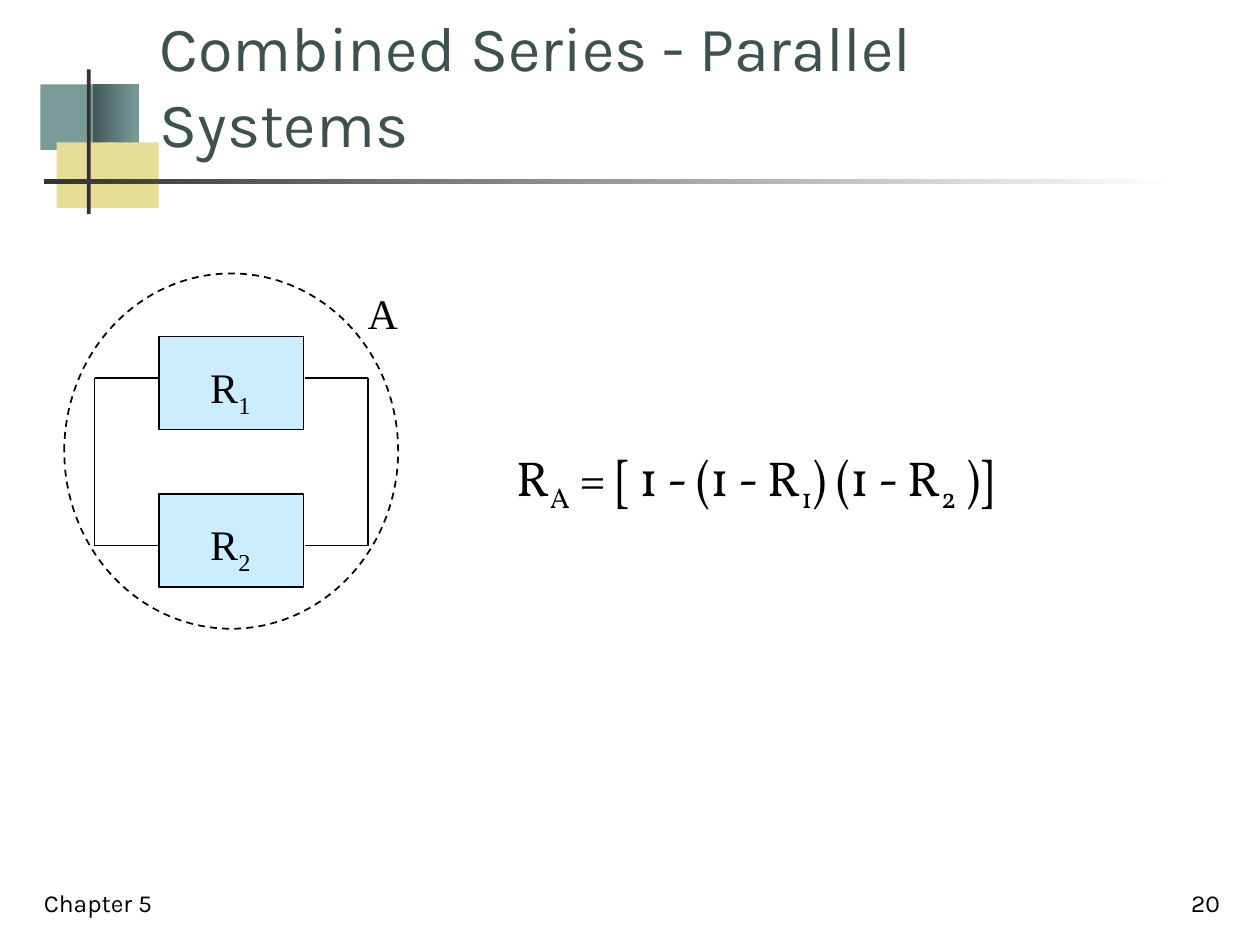
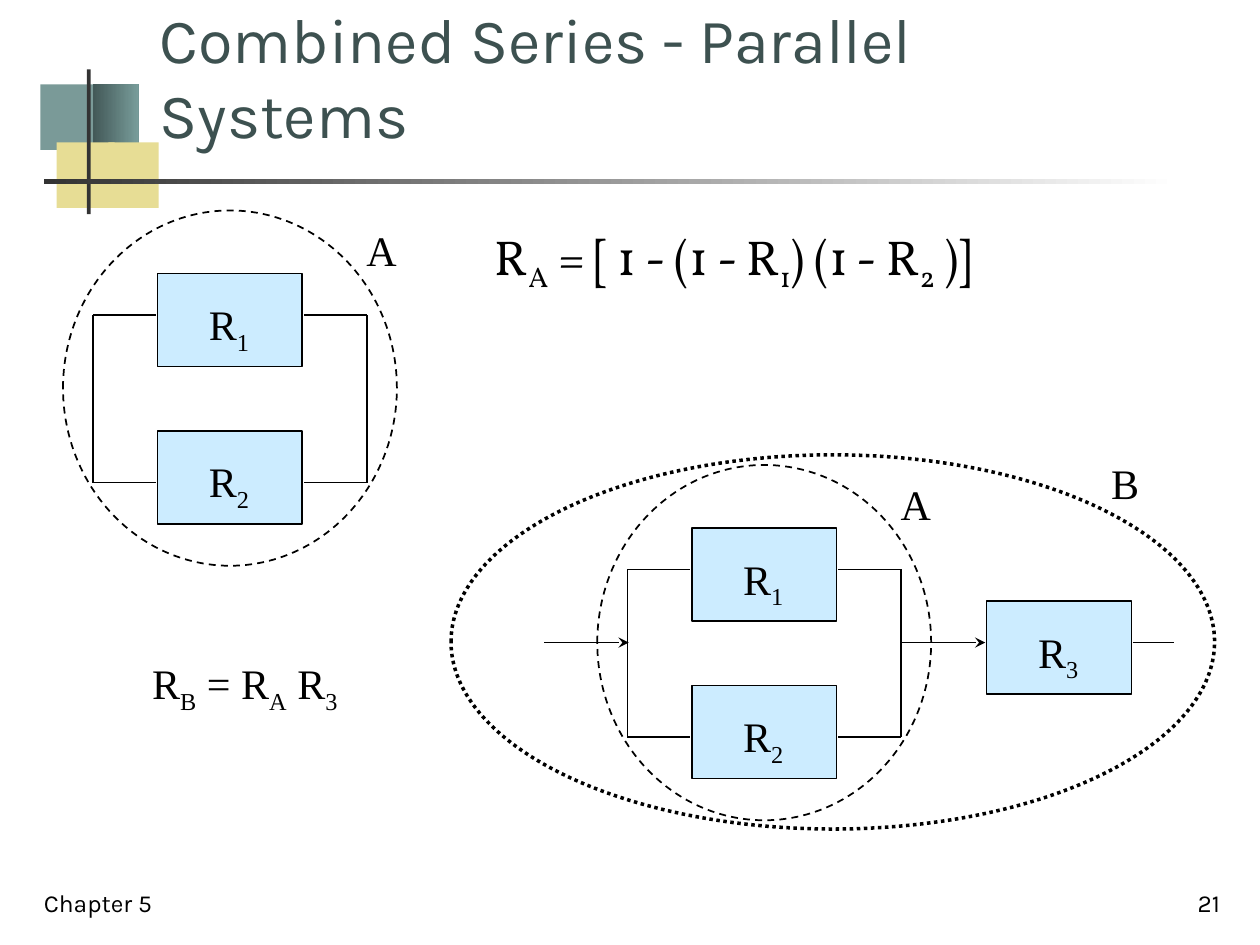
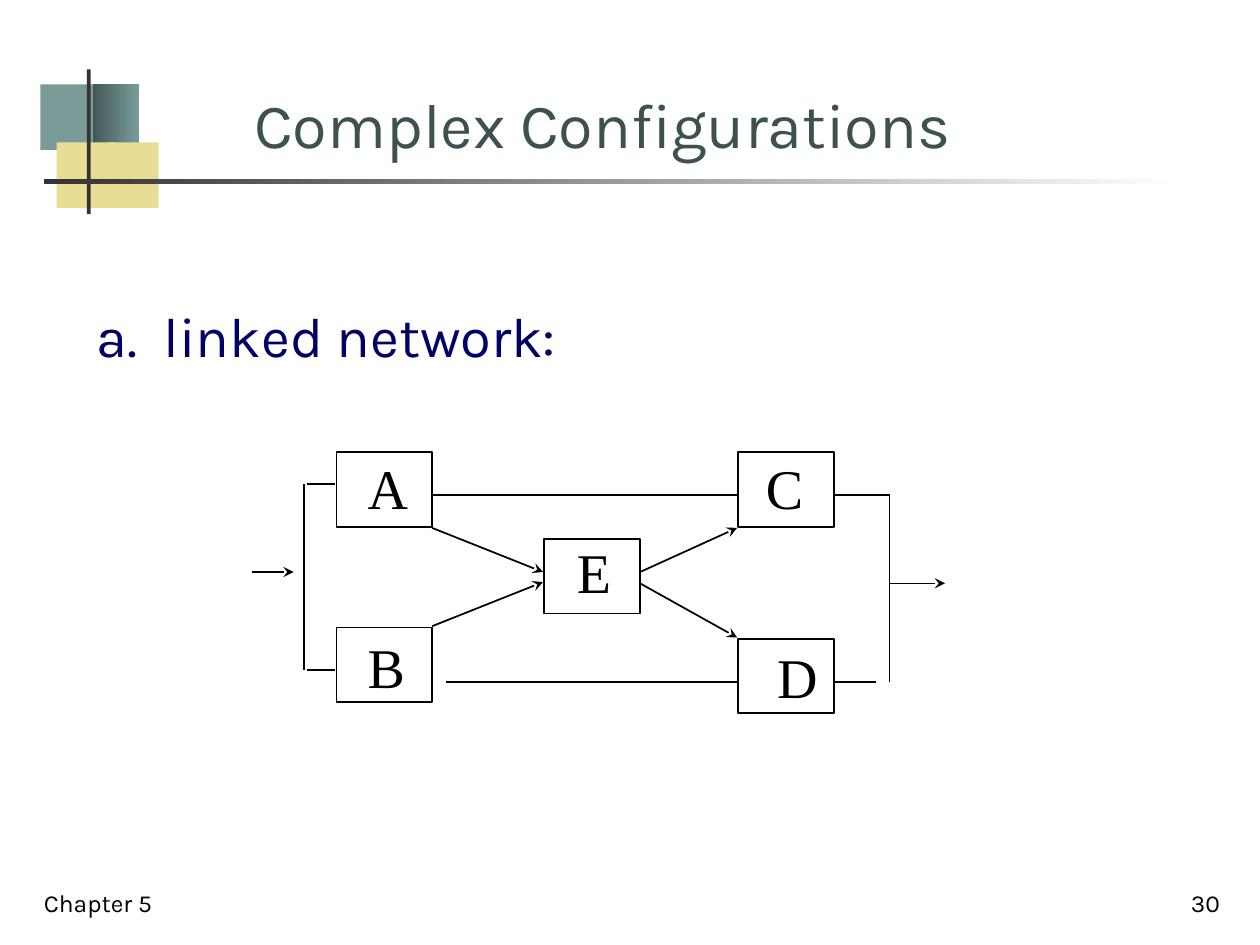
from typing import NamedTuple

from lxml import etree
from pptx import Presentation
from pptx.dml.color import RGBColor
from pptx.enum.dml import MSO_LINE_DASH_STYLE
from pptx.enum.shapes import MSO_CONNECTOR, MSO_SHAPE
from pptx.enum.text import MSO_ANCHOR, MSO_AUTO_SIZE, PP_ALIGN
from pptx.oxml.ns import qn
from pptx.util import Pt

PX = 9144  # 100 px to the inch
PAGE_WIDTH, PAGE_HEIGHT = 1000, 750
BLANK_LAYOUT = 6

RECTANGLE, ELLIPSE = MSO_SHAPE.RECTANGLE, MSO_SHAPE.OVAL
STRAIGHT = MSO_CONNECTOR.STRAIGHT
DASH, DOT = MSO_LINE_DASH_STYLE.DASH, MSO_LINE_DASH_STYLE.ROUND_DOT
TOP, BOTTOM = MSO_ANCHOR.TOP, MSO_ANCHOR.BOTTOM
LEFT, RIGHT = PP_ALIGN.LEFT, PP_ALIGN.RIGHT
FIT_TEXT = MSO_AUTO_SIZE.SHAPE_TO_FIT_TEXT

BLACK = RGBColor(0x00, 0x00, 0x00)
WHITE = RGBColor(0xFF, 0xFF, 0xFF)
CHARCOAL = RGBColor(0x33, 0x33, 0x33)
TEAL = RGBColor(0x7A, 0x9A, 0x98)
TEAL_DARK = RGBColor(0x43, 0x59, 0x58)
TEAL_LIGHT = RGBColor(0x78, 0x9C, 0x9A)
SAND = RGBColor(0xE7, 0xDD, 0x95)
TITLE_GREEN = RGBColor(0x3D, 0x51, 0x50)
NAVY = RGBColor(0x00, 0x00, 0x66)
BLOCK_BLUE = RGBColor(0xCC, 0xEC, 0xFF)

SANS, SERIF, FORMULA = "Karla", "Times New Roman", "Vollkorn"


class Area(NamedTuple):
    x: int
    y: int
    width: int
    height: int


class Style(NamedTuple):
    font: str
    size: int
    color: RGBColor = BLACK
    anchor: MSO_ANCHOR = TOP
    align: PP_ALIGN = LEFT
    space_before: int = 0
    wrap: bool = True


class Band(NamedTuple):
    area: Area
    colors: tuple[RGBColor, ...]


class Wire(NamedTuple):
    x1: int
    y1: int
    x2: int
    y2: int
    arrow: bool = False


class Node(NamedTuple):
    letter: str
    x: int
    y: int
    letter_area: Area


TITLE = Style(SANS, 36, TITLE_GREEN, BOTTOM)
FOOTER = Style(SANS, 14, anchor=BOTTOM)
PAGE_NUMBER = FOOTER._replace(align=RIGHT)
EQUATION = Style(FORMULA, 28, space_before=7)
ITEM = Style(SANS, 32, NAVY, space_before=8)
LABEL = Style(SERIF, 24, wrap=False)
NODE_LABEL = LABEL._replace(size=32)

BANDS = (
    Band(Area(32, 67, 48, 52), (TEAL,)),
    Band(Area(74, 67, 36, 52), (TEAL_DARK, TEAL_LIGHT)),
    Band(Area(45, 113, 46, 52), (SAND,)),
    Band(Area(86, 113, 40, 52), (SAND,)),
    Band(Area(69, 55, 3, 115), (CHARCOAL,)),
    Band(Area(35, 142, 900, 4), (CHARCOAL, WHITE)),
)
FOOTER_AREA = Area(25, 683, 208, 50)
NUMBER_AREA = Area(770, 683, 208, 50)

COMBINED_TITLE = "Combined Series - Parallel Systems"
PARALLEL_EQUATION = "R_A_ = [ 1 - (1 - R_1_) (1 - R_2_ )]"

# Parallel block, measured from the corner of its dashed circle
CIRCLE_WIDTH, CIRCLE_HEIGHT = 265, 282
BLOCK_WIDTH, BLOCK_HEIGHT = 115, 74
BLOCK_X, BLOCK_YS = 75, (50, 175)
WIRE_YS = (83, 216)
LEFT_BUS, RIGHT_BUS, STUB = 24, 241, 50

NODE_WIDTH, NODE_HEIGHT = 76, 59
NETWORK_NODES = (
    Node("A", 267, 359, Area(282, 355, 52, 63)),
    Node("B", 267, 498, Area(282, 497, 50, 63)),
    Node("C", 586, 359, Area(598, 355, 50, 63)),
    Node("D", 586, 507, Area(607, 505, 52, 63)),
    Node("E", 432, 428, Area(448, 422, 47, 63)),
)
NETWORK_WIRES = (
    Wire(343, 393, 585, 393),
    Wire(354, 541, 585, 541),
    Wire(343, 419, 431, 454, True),
    Wire(343, 497, 431, 462, True),
    Wire(508, 454, 585, 419, True),
    Wire(508, 463, 585, 506, True),
    Wire(662, 393, 706, 393),
    Wire(662, 541, 695, 541),
    Wire(706, 393, 706, 541),
    Wire(706, 463, 750, 463, True),
    Wire(244, 384, 266, 384),
    Wire(244, 532, 266, 532),
    Wire(241, 384, 241, 532),
    Wire(200, 454, 233, 454, True),
)


def to_emu(lengths):
    return [length * PX for length in lengths]


def add_text(page, area: Area, text: str, style: Style):
    """Add a text box; parts of the text between underscores are subscripts."""
    box = page.shapes.add_textbox(*to_emu(area))
    frame = box.text_frame
    frame.word_wrap = style.wrap
    frame.vertical_anchor = style.anchor
    if not style.wrap:
        frame.auto_size = FIT_TEXT
    para = frame.paragraphs[0]
    para.alignment = style.align
    para.space_before = Pt(style.space_before)
    for index, part in enumerate(text.split("_")):
        if not part:
            continue
        span = para.add_run()
        span.text = part
        span.font.name = style.font
        span.font.size = Pt(style.size)
        span.font.color.rgb = style.color
        if index % 2:
            span.font._element.set("baseline", "-25000")
    return para


def add_outlined(page, kind, area: Area, fill=None, width=1, dash=None) -> None:
    shape = page.shapes.add_shape(kind, *to_emu(area))
    shape.shadow.inherit = False
    if fill is None:
        shape.fill.background()
    else:
        shape.fill.solid()
        shape.fill.fore_color.rgb = fill
    shape.line.color.rgb = BLACK
    shape.line.width = Pt(width)
    if dash is not None:
        shape.line.dash_style = dash


def add_band(page, band: Band) -> None:
    shape = page.shapes.add_shape(RECTANGLE, *to_emu(band.area))
    shape.shadow.inherit = False
    shape.line.fill.background()
    if len(band.colors) == 1:
        shape.fill.solid()
        shape.fill.fore_color.rgb = band.colors[0]
        return
    shape.fill.gradient()
    shape.fill.gradient_angle = 0
    for stop, color in zip(shape.fill.gradient_stops, band.colors):
        stop.color.rgb = color


def add_wire(page, wire: Wire) -> None:
    connector = page.shapes.add_connector(STRAIGHT, *to_emu(wire[:4]))
    connector.line.color.rgb = BLACK
    connector.line.width = Pt(1)
    properties = connector._element.spPr
    if wire.arrow:
        line = properties.find(qn("a:ln"))
        etree.SubElement(line, qn("a:tailEnd"), type="stealth")
    etree.SubElement(properties, qn("a:effectLst"))


def add_block(page, x: int, y: int, number: int) -> None:
    """Draw one reliability block with its R label."""
    add_outlined(page, RECTANGLE, Area(x, y, BLOCK_WIDTH, BLOCK_HEIGHT), BLOCK_BLUE)
    add_text(page, Area(x + 31, y + 15, 52, 56), f"R_{number}", LABEL)


def add_parallel(page, x: int, y: int) -> None:
    """Draw blocks 1 and 2 in parallel inside the dashed circle A."""
    for number, block_y in enumerate(BLOCK_YS, start=1):
        add_block(page, x + BLOCK_X, y + block_y, number)
    top, bottom = (y + wire_y for wire_y in WIRE_YS)
    for bus, stub in ((x + LEFT_BUS, STUB), (x + RIGHT_BUS, -STUB)):
        add_wire(page, Wire(bus, top, bus, bottom))
        for level in (top, bottom):
            add_wire(page, Wire(bus, level, bus + stub, level))
    add_outlined(page, ELLIPSE, Area(x, y, CIRCLE_WIDTH, CIRCLE_HEIGHT), dash=DASH)
    add_text(page, Area(x + 231, y + 6, 44, 50), "A", LABEL)


def add_page(deck, title: str, title_area: Area, number: int):
    page = deck.slides.add_slide(deck.slide_layouts[BLANK_LAYOUT])
    for band in BANDS:
        add_band(page, band)
    add_text(page, title_area, title, TITLE)
    add_text(page, FOOTER_AREA, "Chapter 5", FOOTER)
    add_text(page, NUMBER_AREA, str(number), PAGE_NUMBER)
    return page


def build_parallel_page(deck) -> None:
    page = add_page(deck, COMBINED_TITLE, Area(117, 58, 799, 74), 20)
    add_text(page, Area(400, 350, 532, 79), PARALLEL_EQUATION, EQUATION)
    add_parallel(page, 51, 217)


def build_combined_page(deck) -> None:
    page = add_page(deck, COMBINED_TITLE, Area(117, 51, 816, 74), 21)
    add_text(page, Area(383, 175, 532, 79), PARALLEL_EQUATION, EQUATION)
    add_parallel(page, 50, 167)
    add_block(page, 783, 477, 3)
    for wire in (
        Wire(432, 510, 499, 510, True),
        Wire(899, 510, 932, 510),
        Wire(715, 510, 782, 510, True),
    ):
        add_wire(page, wire)
    add_parallel(page, 474, 369)
    add_outlined(page, ELLIPSE, Area(358, 361, 606, 297), width=2, dash=DOT)
    add_text(page, Area(872, 358, 42, 50), "B", LABEL)
    add_text(page, Area(111, 517, 176, 56), "R_B_ = R_A_ R_3", LABEL)


def build_network_page(deck) -> None:
    page = add_page(deck, "Complex Configurations", Area(192, 50, 582, 83), 30)
    item = add_text(page, Area(67, 234, 849, 449), "a.\tlinked network:", ITEM)
    hanging = 53 * PX
    properties = item._p.get_or_add_pPr()
    properties.set("marL", str(hanging))
    properties.set("indent", str(-hanging))
    for node in NETWORK_NODES:
        add_outlined(page, RECTANGLE, Area(node.x, node.y, NODE_WIDTH, NODE_HEIGHT))
    for wire in NETWORK_WIRES:
        add_wire(page, wire)
    for node in NETWORK_NODES:
        add_text(page, node.letter_area, node.letter, NODE_LABEL)


def main() -> None:
    deck = Presentation()
    deck.slide_width, deck.slide_height = to_emu((PAGE_WIDTH, PAGE_HEIGHT))
    build_parallel_page(deck)
    build_combined_page(deck)
    build_network_page(deck)
    deck.save("out.pptx")


if __name__ == "__main__":
    main()
